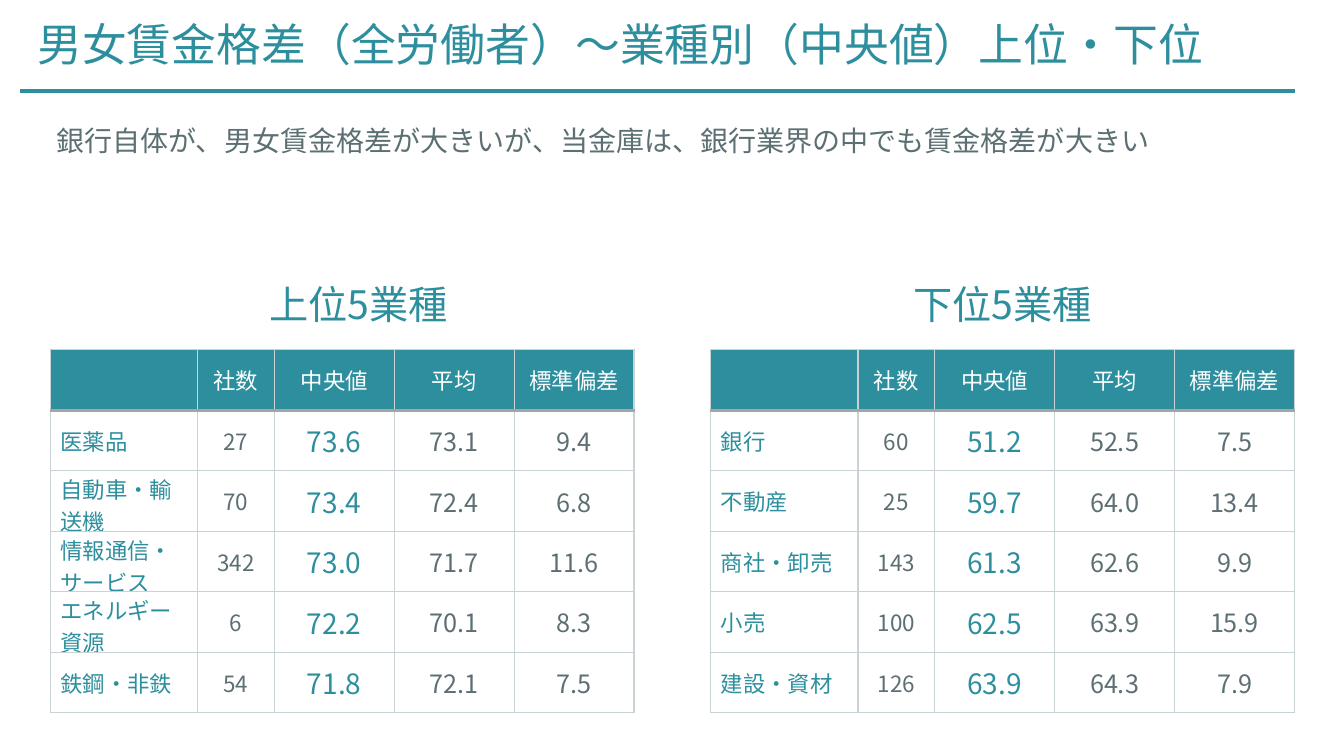
from dataclasses import dataclass

from lxml import etree
from pptx import Presentation
from pptx import util as u
from pptx.dml.color import RGBColor
from pptx.enum import shapes, text
from pptx.oxml import ns

TITLE = "男女賃金格差（全労働者）〜業種別（中央値）上位・下位"
MESSAGE = "銀行自体が、男女賃金格差が大きいが、当金庫は、銀行業界の中でも賃金格差が大きい"
HEADER = ("", "社数", "中央値", "平均", "標準偏差")
RANKINGS = [
    {
        "heading": "上位5業種", "heading_left": 66, "table_left": 50,
        "rows": [
            ("医薬品", "27", "73.6", "73.1", "9.4"),
            ("自動車・輸送機", "70", "73.4", "72.4", "6.8"),
            ("情報通信・サービス", "342", "73.0", "71.7", "11.6"),
            ("エネルギー\n資源", "6", "72.2", "70.1", "8.3"),
            ("鉄鋼・非鉄", "54", "71.8", "72.1", "7.5"),
        ],
    },
    {
        "heading": "下位5業種", "heading_left": 705, "table_left": 705,
        "rows": [
            ("銀行", "60", "51.2", "52.5", "7.5"),
            ("不動産", "25", "59.7", "64.0", "13.4"),
            ("商社・卸売", "143", "61.3", "62.6", "9.9"),
            ("小売", "100", "62.5", "63.9", "15.9"),
            ("建設・資材", "126", "63.9", "64.3", "7.9"),
        ],
    },
]


@dataclass(frozen=True)
class Theme:
    font: str = "Noto Sans CJK JP"
    teal: str = "2D8F9E"
    slate: str = "5C6F73"
    white: str = "FFFFFF"
    grid: str = "C9D2D4"
    header_rule: str = "A5A5A5"
    title: int = 32
    heading: int = 28
    message: int = 20
    label: int = 16
    median: int = 20
    figure: int = 18


THEME = Theme()
LEFT, CENTER = text.PP_ALIGN.LEFT, text.PP_ALIGN.CENTER
COLUMN_WIDTHS = (146, 76, 119, 119, 119)
COLUMN_STYLES = (
    (THEME.label, THEME.teal, LEFT),
    (THEME.label, THEME.slate, CENTER),
    (THEME.median, THEME.teal, CENTER),
    (THEME.figure, THEME.slate, CENTER),
    (THEME.figure, THEME.slate, CENTER),
)
TABLE_TOP, ROW_HEIGHT = 347, 60
HEADING_TOP, HEADING_HEIGHT = 278, 57


def px(length):
    return u.Emu(length * 9144)


def apply(target, values):
    for name, value in values.items():
        setattr(target, name, value)


def write(frame, content, size, color, align, **para_format):
    frame.text = content
    for para in frame.paragraphs:
        apply(para, {"alignment": align, **para_format})
        for span in para.runs:
            apply(span.font, {"size": u.Pt(size), "bold": False})
            span.font.color.rgb = RGBColor.from_string(color)
            span.font.name = THEME.font
            east_asian = etree.SubElement(span.font._element, ns.qn("a:ea"))
            east_asian.set("typeface", THEME.font)


def write_box(box, area, content, size, color, align, **para_format):
    apply(box, dict(zip(("left", "top", "width", "height"), map(px, area))))
    apply(box.text_frame, {
        "word_wrap": True,
        "auto_size": text.MSO_AUTO_SIZE.SHAPE_TO_FIT_TEXT,
        "vertical_anchor": text.MSO_ANCHOR.TOP,
    })
    write(box.text_frame, content, size, color, align, line_spacing=0.9, **para_format)


def add_text(slide, area, *style, **para_format):
    box = slide.shapes.add_textbox(*map(px, area))
    write_box(box, area, *style, **para_format)


def set_borders(cell, row_number):
    grid, rule = (THEME.grid, 1), (THEME.header_rule, 2.25)
    borders = {
        "lnL": grid,
        "lnR": grid,
        "lnT": rule if row_number == 1 else grid,
        "lnB": rule if row_number == 0 else grid,
    }
    properties = cell._tc.get_or_add_tcPr()
    for position, (side, (color, width)) in enumerate(borders.items()):
        line = etree.Element(ns.qn(f"a:{side}"), w=str(u.Pt(width)))
        fill = etree.SubElement(line, ns.qn("a:solidFill"))
        etree.SubElement(fill, ns.qn("a:srgbClr"), val=color)
        properties.insert(position, line)


def add_ranking(slide, left, rows):
    records = [HEADER, *rows]
    table = slide.shapes.add_table(
        len(records), len(HEADER), px(left), px(TABLE_TOP),
        px(sum(COLUMN_WIDTHS)), px(ROW_HEIGHT * len(records)),
    ).table
    apply(table, {"first_row": False, "horz_banding": False})
    for column, width in zip(table.columns, COLUMN_WIDTHS):
        column.width = px(width)
    for row_number, record in enumerate(records):
        table.rows[row_number].height = px(ROW_HEIGHT)
        for column_number, content in enumerate(record):
            cell = table.cell(row_number, column_number)
            cell.vertical_anchor = text.MSO_ANCHOR.MIDDLE
            if row_number == 0:
                style = (THEME.label, THEME.white, CENTER)
                cell.fill.solid()
                cell.fill.fore_color.rgb = RGBColor.from_string(THEME.teal)
            else:
                style = COLUMN_STYLES[column_number]
                cell.fill.background()
                apply(cell, {"margin_top": px(2), "margin_bottom": px(2)})
            write(cell.text_frame, content, *style)
            set_borders(cell, row_number)


def add_title_rule(slide):
    rule = slide.shapes.add_connector(
        shapes.MSO_CONNECTOR.STRAIGHT, px(20), px(90), px(1284), px(90))
    rule.line.color.rgb = RGBColor.from_string(THEME.teal)
    rule.line.width = u.Pt(3)
    etree.SubElement(rule._element.spPr, ns.qn("a:effectLst"))


def main():
    deck = Presentation()
    apply(deck, {"slide_width": px(1333), "slide_height": px(750)})
    slide = deck.slides.add_slide(deck.slide_layouts[5])
    write_box(slide.shapes.title, (27, 18, 1306, 64),
              TITLE, THEME.title, THEME.teal, LEFT)
    add_title_rule(slide)
    add_text(slide, (46, 121, 1176, 44), MESSAGE, THEME.message, THEME.slate, LEFT,
             space_before=u.Pt(6))
    for ranking in RANKINGS:
        add_ranking(slide, ranking["table_left"], ranking["rows"])
        add_text(slide,
                 (ranking["heading_left"], HEADING_TOP, sum(COLUMN_WIDTHS), HEADING_HEIGHT),
                 ranking["heading"], THEME.heading, THEME.teal, CENTER)
    deck.save("out.pptx")


if __name__ == "__main__":
    main()
